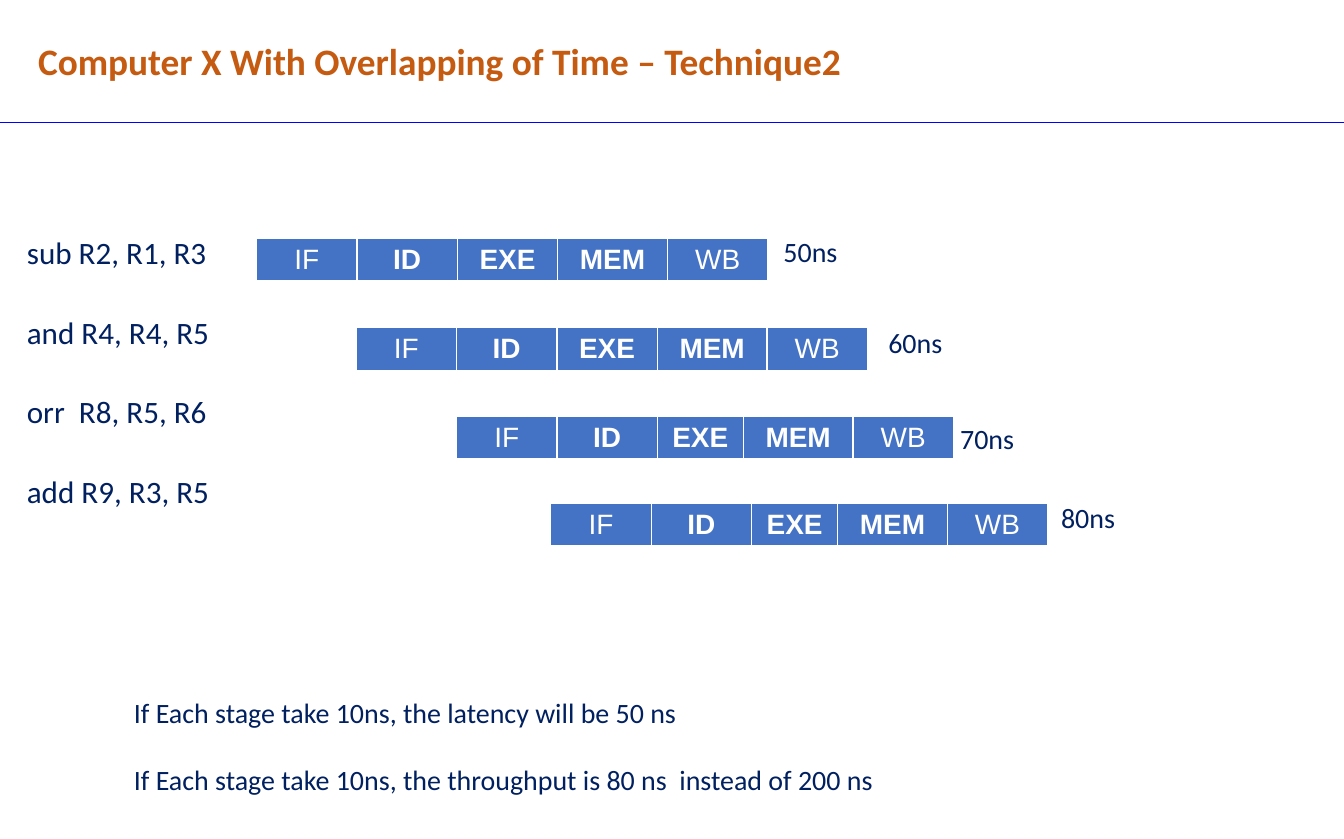
"""Build the pipeline slide: four overlapping instructions with their finish times."""
import lxml.etree
import pptx
import pptx.dml.color
import pptx.enum.shapes
import pptx.enum.text
import pptx.oxml.ns
import pptx.util

Cm, Pt = pptx.util.Cm, pptx.util.Pt
qn = pptx.oxml.ns.qn
COLORS = {"title": "C55A11", "text": "002060", "rule": "0000FF", "stage": "4472C4", "white": "FFFFFF"}
BORDERS = {"a:lnL": 1, "a:lnR": 1, "a:lnT": 1, "a:lnB": 3}


def rgb(name):
    return pptx.dml.color.RGBColor.from_string(COLORS[name])


def write(frame, lines, color, font, paragraph=None):
    frame.word_wrap = True
    frame.vertical_anchor = pptx.enum.text.MSO_ANCHOR.TOP
    for index, line in enumerate(lines):
        para = frame.add_paragraph() if index else frame.paragraphs[0]
        for name, value in (paragraph or {}).items():
            if index or name != "space_before":
                setattr(para, name, value)
        span = para.add_run()
        span.text = line
        for name, value in font.items():
            setattr(span.font, name, value)
        span.font.color.rgb = rgb(color)


deck = pptx.Presentation()
deck.slide_width, deck.slide_height = Cm(30.5), Cm(19.05)
page = deck.slides.add_slide(deck.slide_layouts[5])

title = page.shapes.title
title.left, title.top, title.width, title.height = Cm(0.61), Cm(0.74), Cm(22.5), Cm(1.27)
write(title.text_frame, ["Computer X With Overlapping of Time – Technique2"], "title",
      {"size": Pt(24), "name": "Calibri", "bold": True},
      {"alignment": pptx.enum.text.PP_ALIGN.LEFT})

rule = page.shapes.add_connector(pptx.enum.shapes.MSO_CONNECTOR.STRAIGHT,
                                 Cm(0), Cm(2.79), deck.slide_width, Cm(2.79))
rule.line.color.rgb = rgb("rule")
rule.line.width = Pt(0.75)
lxml.etree.SubElement(rule._element.spPr, qn("a:effectLst"))

stages = ["IF", "ID", "EXE", "MEM", "WB"]
pipelines = [
    (5.82, 5.41, 2.28),
    (8.08, 7.44, 2.28),
    (10.36, 9.45, 1.95),
    (12.5, 11.43, 1.95),
]
for left, top, execute_width in pipelines:
    widths = [2.28, 2.28, execute_width, 2.49, 2.28]
    table = page.shapes.add_table(1, len(stages), Cm(left), Cm(top), Cm(sum(widths)), Cm(1)).table
    for column, (stage, width) in enumerate(zip(stages, widths)):
        table.columns[column].width = Cm(width)
        cell = table.cell(0, column)
        cell.margin_left = cell.margin_right = Cm(0.3)
        write(cell.text_frame, [stage], "white",
              {"size": Pt(18), "name": "Arial", "bold": stage not in ("IF", "WB")},
              {"alignment": pptx.enum.text.PP_ALIGN.CENTER})
        properties = cell._tc.get_or_add_tcPr()
        for tag, points in BORDERS.items():
            border = lxml.etree.SubElement(properties, qn(tag), w=str(Pt(points)))
            fill = lxml.etree.SubElement(border, qn("a:solidFill"))
            lxml.etree.SubElement(fill, qn("a:srgbClr"), val=COLORS["white"])
        cell.fill.solid()
        cell.fill.fore_color.rgb = rgb("stage")

instructions = ["sub R2, R1, R3", "and R4, R4, R5", "orr  R8, R5, R6", "add R9, R3, R5"]
notes = ["If Each stage take 10ns, the latency will be 50 ns",
         "If Each stage take 10ns, the throughput is 80 ns  instead of 200 ns"]
texts = [
    (0.36, 5.28, 6, 8.48, instructions, 20, {"line_spacing": 0.9, "space_before": Pt(29.5)}),
    (2.79, 15.67, 21, 2.57, notes, 18, {"space_before": Pt(21.5)}),
    (17.53, 5.21, 2.1, 1.02, ["50ns"], 18, {}),
    (19.91, 7.26, 2.1, 1.02, ["60ns"], 18, {}),
    (21.54, 9.45, 2.1, 1.02, ["70ns"], 18, {}),
    (23.83, 11.25, 2.1, 1.02, ["80ns"], 18, {}),
]
for left, top, width, height, lines, size, paragraph in texts:
    box = page.shapes.add_textbox(Cm(left), Cm(top), Cm(width), Cm(height))
    write(box.text_frame, lines, "text", {"size": Pt(size), "name": "Calibri"}, paragraph)

deck.save("out.pptx")
